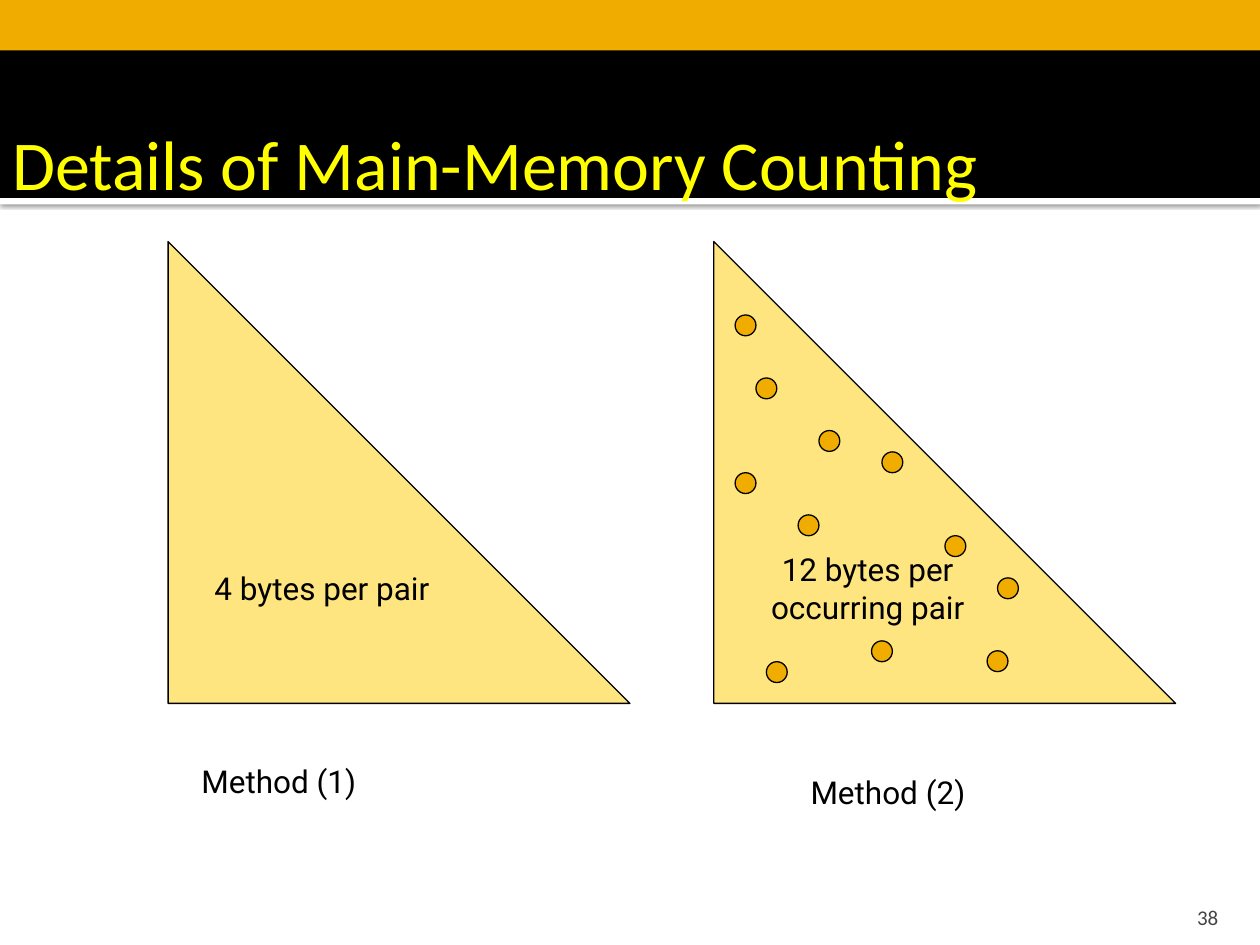
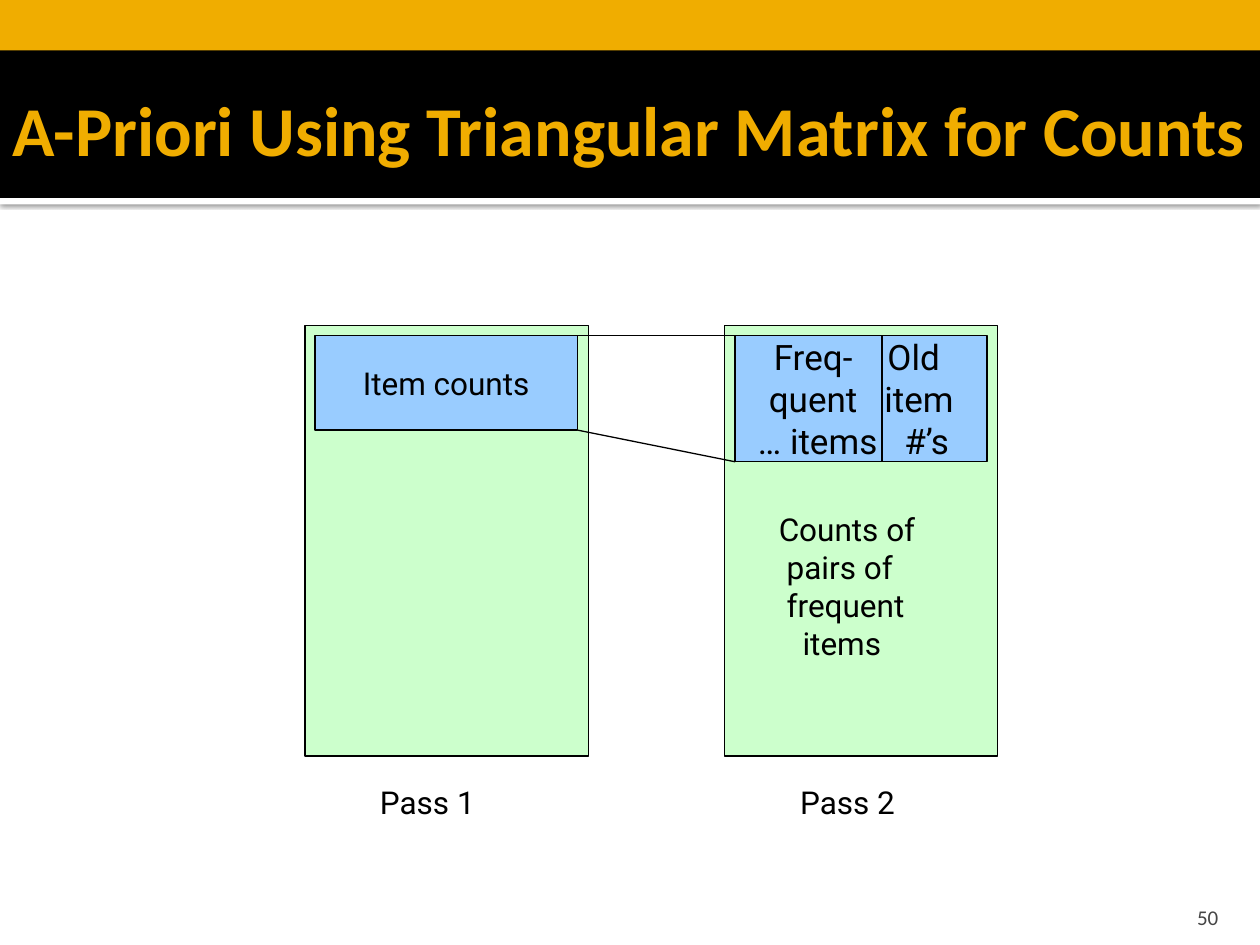
from lxml import etree
from pptx import Presentation
from pptx import util as u
from pptx.dml.color import RGBColor
from pptx.enum import shapes, text
from pptx.oxml.ns import qn

COLORS = {
    "black": "000000", "white": "FFFFFF", "amber": "F0AD00", "yellow": "FFFF00",
    "triangle": "FFCC00", "memory": "CCFFCC", "item": "99CCFF", "number": "454545",
}
BODY_FONT, TITLE_FONT = "Roboto", "Calibri"
WIDTH, HEIGHT = 25.4, 19.05

BANDS = [
    ((0, 3.99, WIDTH, 0.13), "white"),
    ((0, 0, WIDTH, 3.99), "black"),
    ((0, 0, WIDTH, 1.02), "amber"),
]
NUMBER_BOX = (22.78, 17.98, 2.03, 0.76)
NO_INSETS = (0, 0, 0, 0)

COUNTING = {
    "title": "Details of Main-Memory Counting",
    "number": "38",
    "triangle_lefts": (3.39, 14.39),
    "triangle_top": 4.87,
    "triangle_side": 9.31,
    "costs": (["4 bytes per pair"], ["12 bytes per", "occurring pair"]),
    "methods": [("Method (1)", (3.81, 15.24, 4.67, 1.27)),
                ("Method (2)", (16.09, 15.45, 4.67, 1.27))],
    "dot_size": 0.42,
    "dots": [(20.11, 11.65), (17.57, 12.92), (17.78, 9.11), (15.24, 7.62),
             (19.05, 10.8), (19.9, 13.12), (15.45, 13.34), (16.09, 10.38),
             (16.51, 8.68), (14.82, 6.35), (14.82, 9.53)],
}
PRIORI = {
    "title": "A-Priori Using Triangular Matrix for Counts",
    "number": "50",
    "memories": [(6.15, 6.56, 5.72, 8.68), (14.61, 6.56, 5.5, 8.68)],
    "item_counts": (6.35, 6.77, 5.29, 1.9),
    "frequent_table": (14.82, 6.77, 5.08, 2.54),
    "divider": 17.78,
    "passes": [("Pass 1", (7.41, 15.65, 2.92, 1.27)),
               ("Pass 2", (15.88, 15.65, 2.92, 1.27))],
    "columns": [
        ((15.28, 6.77, 2.5, 2.54), [("Freq-", 0.32), ("quent", 0.22), ("… items", 0)]),
        ((17.83, 6.77, 2.07, 2.54), [("Old", 0.06), ("item", 0), ("#’s", 0.4)]),
    ],
    "pair_counts": ((15.45, 10.16, 4.06, 4.32),
                    [("Counts of", 0), ("pairs of", 0.16), ("frequent", 0.16), ("items", 0.48)]),
}


def rgb(name):
    return RGBColor.from_string(COLORS[name])


def cm(box):
    return [u.Cm(length) for length in box]


def write(shape, lines, size=18, color="black", font=BODY_FONT, bold=False,
          align=text.PP_ALIGN.LEFT, anchor=text.MSO_ANCHOR.TOP, wrap=True,
          insets=(0.25, 0.13, 0.25, 0.13)):
    frame = shape.text_frame
    frame.auto_size = text.MSO_AUTO_SIZE.NONE
    frame.word_wrap = wrap
    frame.vertical_anchor = anchor
    (frame.margin_left, frame.margin_top,
     frame.margin_right, frame.margin_bottom) = cm(insets)
    frame.text = "\n".join(lines)
    for paragraph in frame.paragraphs:
        paragraph.alignment = align
        paragraph.font.name = font
        paragraph.font.size = u.Pt(size)
        paragraph.font.bold = bold
        paragraph.font.color.rgb = rgb(color)


def add_text(slide, box, lines, **style):
    shape = slide.shapes.add_textbox(*cm(box))
    write(shape, lines, **style)
    return shape


def add_indented(slide, box, lines, **style):
    shape = add_text(slide, box, [line for line, _ in lines], **style)
    for paragraph, (_, indent) in zip(shape.text_frame.paragraphs, lines):
        paragraph._p.get_or_add_pPr().set("marL", str(u.Cm(indent)))


def add_figure(slide, kind, box, fill, outlined=True):
    shape = slide.shapes.add_shape(kind, *cm(box))
    shape.shadow.inherit = False
    shape.fill.solid()
    shape.fill.fore_color.rgb = rgb(fill)
    if outlined:
        shape.line.color.rgb = rgb("black")
        shape.line.width = u.Pt(0.75)
    else:
        shape.line.fill.background()
    return shape


def add_line(slide, start, end):
    line = slide.shapes.add_connector(shapes.MSO_CONNECTOR.STRAIGHT, *cm(start + end))
    line.line.color.rgb = rgb("black")
    line.line.width = u.Pt(0.75)
    etree.SubElement(line.element.spPr, qn("a:effectLst"))


def set_alpha(color_element, percent):
    etree.SubElement(color_element, qn("a:alpha"), val=str(percent * 1000))


def add_strip_shadow(strip):
    effects = strip.element.spPr.find(qn("a:effectLst"))
    shadow = etree.SubElement(effects, qn("a:outerShdw"), blurRad=str(u.Pt(2.5)),
                              dist=str(u.Pt(0.8)), dir="5400000", rotWithShape="0")
    set_alpha(etree.SubElement(shadow, qn("a:srgbClr"), val=COLORS["black"]), 60)


def move_bands_to_layout(slide):
    bands = [add_figure(slide, shapes.MSO_SHAPE.RECTANGLE, box, fill, outlined=False)
             for box, fill in BANDS]
    add_strip_shadow(bands[0])
    for index, band in enumerate(bands, start=2):
        slide.slide_layout.shapes.element.insert(index, band.element)


def start_slide(presentation, content, title_box, **title_style):
    slide = presentation.slides.add_slide(presentation.slide_layouts[5])
    title = slide.shapes.title
    title.left, title.top, title.width, title.height = cm(title_box)
    write(title, [content["title"]], size=40, font=TITLE_FONT, **title_style)
    add_text(slide, NUMBER_BOX, [content["number"]], size=12, color="number",
             font=TITLE_FONT, align=text.PP_ALIGN.RIGHT,
             anchor=text.MSO_ANCHOR.BOTTOM, insets=(0.25, 0.13, 0.25, 0))
    return slide


def build_counting(presentation):
    content = COUNTING
    slide = start_slide(presentation, content, (0, 1.07, WIDTH, 3.18),
                        color="yellow", anchor=text.MSO_ANCHOR.BOTTOM)
    move_bands_to_layout(slide)
    side = content["triangle_side"]
    for left, cost in zip(content["triangle_lefts"], content["costs"]):
        triangle = add_figure(slide, shapes.MSO_SHAPE.RIGHT_TRIANGLE,
                              (left, content["triangle_top"], side, side), "triangle")
        set_alpha(triangle.element.spPr.find(".//" + qn("a:srgbClr")), 50)
        write(triangle, cost, align=text.PP_ALIGN.CENTER,
              anchor=text.MSO_ANCHOR.MIDDLE, wrap=False)
    for method, box in content["methods"]:
        add_text(slide, box, [method])
    size = content["dot_size"]
    for left, top in content["dots"]:
        add_figure(slide, shapes.MSO_SHAPE.OVAL, (left, top, size, size), "amber")


def build_priori(presentation):
    content = PRIORI
    slide = start_slide(presentation, content, (0, 1.27, WIDTH, 2.64), color="amber",
                        bold=True, anchor=text.MSO_ANCHOR.MIDDLE,
                        insets=(0.25, 0.13, 0.13, 0.13))
    rectangle = shapes.MSO_SHAPE.RECTANGLE
    for box in content["memories"]:
        add_figure(slide, rectangle, box, "memory")
    item_counts = add_figure(slide, rectangle, content["item_counts"], "item")
    write(item_counts, ["Item counts"], align=text.PP_ALIGN.CENTER,
          anchor=text.MSO_ANCHOR.MIDDLE, wrap=False)
    add_figure(slide, rectangle, content["frequent_table"], "item")
    for box, lines in content["columns"]:
        add_indented(slide, box, lines, size=20, anchor=text.MSO_ANCHOR.MIDDLE,
                     insets=NO_INSETS)
    add_indented(slide, *content["pair_counts"])
    for label, box in content["passes"]:
        add_text(slide, box, [label])

    left, top, width, height = content["item_counts"]
    table_left, table_top, _, table_height = content["frequent_table"]
    table_bottom = table_top + table_height
    add_line(slide, (left + width, top), (table_left, table_top))
    add_line(slide, (left + width, top + height), (table_left, table_bottom))
    add_line(slide, (content["divider"], table_top), (content["divider"], table_bottom))


def main():
    presentation = Presentation()
    presentation.slide_width, presentation.slide_height = u.Cm(WIDTH), u.Cm(HEIGHT)
    build_counting(presentation)
    build_priori(presentation)
    presentation.save("out.pptx")


if __name__ == "__main__":
    main()
